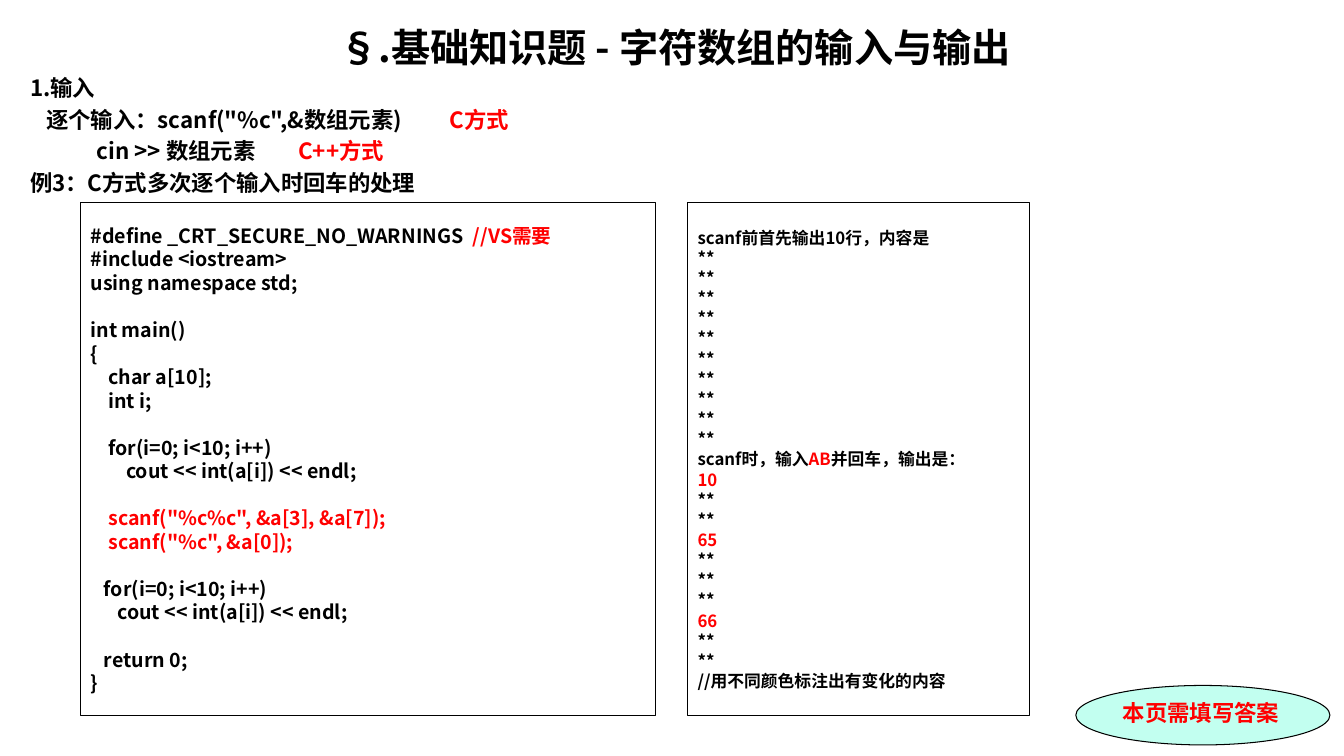
from pptx import Presentation
from pptx.dml.color import RGBColor
from pptx.enum.shapes import MSO_SHAPE
from pptx.enum.text import MSO_ANCHOR, PP_ALIGN
from pptx.oxml.ns import qn
from pptx.util import Inches, Pt
from lxml import etree

RECT, OVAL = MSO_SHAPE.RECTANGLE, MSO_SHAPE.OVAL
TOP, MIDDLE = MSO_ANCHOR.TOP, MSO_ANCHOR.MIDDLE
LEFT, CENTER = PP_ALIGN.LEFT, PP_ALIGN.CENTER
SANS, SERIF = "Noto Sans CJK SC", "Times New Roman"
HEX = {"ink": "000000", "red": "FF0000", "mint": "C2FFF0"}

TITLE = "§.基础知识题 - 字符数组的输入与输出"
NOTES = [
    ("1.输入", 0, 0),
    ("逐个输入：scanf(\"%c\",&数组元素)\t|C方式", 0.16, 3.99),
    ("cin >> 数组元素\t|C++方式", 0.66, 2.78),
    ("例3：C方式多次逐个输入时回车的处理", 0, 0),
]
CODE = """#define _CRT_SECURE_NO_WARNINGS  |//VS需要
#include <iostream>
using namespace std;

int main()
{
    char a[10];
    int i;

    for(i=0; i<10; i++)
        cout << int(a[i]) << endl;

|    scanf("%c%c", &a[3], &a[7]);
|    scanf("%c", &a[0]);

   for(i=0; i<10; i++)
      cout << int(a[i]) << endl;

   return 0;
}"""
STAR = "**"
ANSWER = [
    "scanf前首先输出10行，内容是", *[STAR] * 10,
    "scanf时，输入|AB|并回车，输出是：",
    "|10", *[STAR] * 2, "|65", *[STAR] * 3, "|66", *[STAR] * 2,
    "//用不同颜色标注出有变化的内容",
]


def tint(name):
    """Return the named colour."""
    return RGBColor.from_string(HEX[name])


def write(para, text, size, face=SANS):
    """Fill a paragraph with bold runs; each bar switches ink and red."""
    for i, part in enumerate(text.split("|")):
        if not part:
            continue
        run = para.add_run()
        run.text = part
        form = {"size": Pt(size), "bold": True, "name": face}
        for key, value in form.items():
            setattr(run.font, key, value)
        run.font.color.rgb = tint("red" if i % 2 else "ink")
        east = etree.SubElement(run.font._element, qn("a:ea"))
        east.set("typeface", SANS)


def add_para(frame, first):
    """Return the first paragraph of a frame or a new one."""
    return frame.paragraphs[0] if first else frame.add_paragraph()


def indent(para, left, stop):
    """Set the left margin and one tab stop of a paragraph."""
    props = para._p.get_or_add_pPr()
    props.set("marL", str(Inches(left)))
    props.set("indent", "0")
    if stop:
        tabs = etree.SubElement(props, qn("a:tabLst"))
        etree.SubElement(tabs, qn("a:tab"), pos=str(Inches(stop)), algn="l")


def add_head(slide):
    """Add the title and the notes on input."""
    box = slide.shapes.add_textbox(
        Inches(0.2), Inches(0.18), Inches(12.99), Inches(1.8))
    frame = box.text_frame
    frame.word_wrap = True
    title = frame.paragraphs[0]
    title.alignment = CENTER
    write(title, TITLE, 28)
    for text, left, stop in NOTES:
        para = frame.add_paragraph()
        para.space_before = Pt(3.2)
        indent(para, left, stop)
        write(para, text, 16)


def add_panel(slide, kind, area, lines, size, face=SANS, fill=None,
              anchor=MIDDLE):
    """Add an outlined shape with left-aligned lines; an empty line is a gap."""
    shape = slide.shapes.add_shape(kind, *map(Inches, area))
    shape.shadow.inherit = False
    if fill:
        shape.fill.solid()
        shape.fill.fore_color.rgb = tint(fill)
    else:
        shape.fill.background()
    shape.line.color.rgb = tint("ink")
    shape.line.width = Pt(0.75)
    frame = shape.text_frame
    frame.word_wrap = bool(fill)
    frame.vertical_anchor = anchor
    gap = False
    for i, line in enumerate(lines):
        if line:
            para = add_para(frame, i == 0)
            para.alignment = LEFT
            if gap:
                para.space_before = Pt(size * 1.2)
            write(para, line, size, face)
        gap = not line


def main():
    """Build and save the slide."""
    deck = Presentation()
    deck.slide_width, deck.slide_height = Inches(13.33), Inches(7.5)
    slide = deck.slides.add_slide(deck.slide_layouts[6])
    add_head(slide)
    add_panel(slide, OVAL, (10.67, 6.8, 2.52, 0.59), ["|本页需填写答案"], 16,
              SERIF, "mint", TOP)
    add_panel(slide, RECT, (0.8, 2.01, 5.7, 5.09), CODE.split("\n"), 14)
    add_panel(slide, RECT, (6.82, 2.01, 3.39, 5.09), ANSWER, 12)
    deck.save("out.pptx")


if __name__ == "__main__":
    main()
